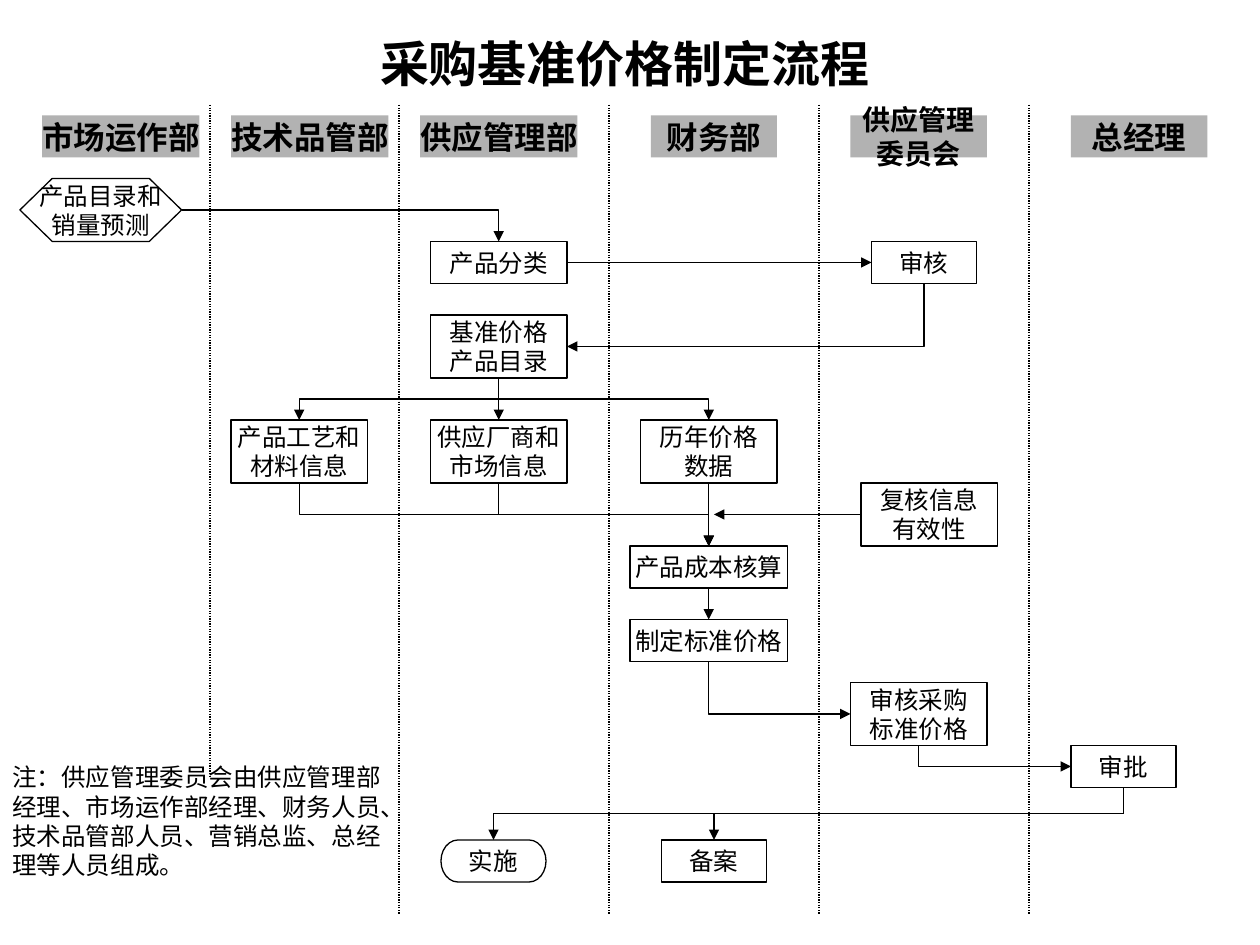
from dataclasses import dataclass
from typing import Optional

from lxml import etree
from pptx import Presentation
from pptx import util as u
from pptx.dml.color import RGBColor
from pptx.enum import dml, shapes, text
from pptx.oxml.ns import qn

SCALE = 7620
KIND = shapes.MSO_SHAPE
LINK = shapes.MSO_CONNECTOR


@dataclass(frozen=True)
class Theme:
    ink: RGBColor = RGBColor(0, 0, 0)
    paper: RGBColor = RGBColor(255, 255, 255)
    band: RGBColor = RGBColor(0xB2, 0xB2, 0xB2)
    font: str = "Times New Roman"
    title: int = 28
    head: int = 18
    small: int = 16
    body: int = 14
    rule: float = 0.75


@dataclass(frozen=True)
class Head:
    words: str
    left: int
    width: int
    size: int


@dataclass(frozen=True)
class Step:
    words: str
    left: int
    top: int
    width: int = 130
    high: int = 40
    kind: KIND = KIND.RECTANGLE


@dataclass(frozen=True)
class Flow:
    x: int
    y: int
    to_x: int
    to_y: int
    bend: str = ""


THEME = Theme()

HEADS = [
    Head("市场运作部", 40, 150, THEME.head),
    Head("技术品管部", 220, 150, THEME.head),
    Head("供应管理部", 400, 150, THEME.head),
    Head("财务部", 620, 120, THEME.head),
    Head("供应管理\n委员会", 810, 130, THEME.small),
    Head("总经理", 1020, 130, THEME.head),
]

LANES = [(200, 740), (380, 870), (580, 870), (780, 870), (980, 870)]

STEPS = [
    Step("产品目录和\n销量预测", 19, 170, 154, 60, KIND.FLOWCHART_PREPARATION),
    Step("产品分类", 410, 230),
    Step("审核", 830, 230, 100),
    Step("基准价格\n产品目录", 410, 300, high=60),
    Step("产品工艺和\n材料信息", 220, 400, high=60),
    Step("供应厂商和\n市场信息", 410, 400, high=60),
    Step("历年价格\n数据", 610, 400, high=60),
    Step("复核信息\n有效性", 820, 460, high=60),
    Step("产品成本核算", 600, 520, 150),
    Step("制定标准价格", 600, 590, 150),
    Step("审核采购\n标准价格", 810, 650, high=60),
    Step("审批", 1020, 710, 100),
    Step("实施", 420, 800, 100, kind=KIND.FLOWCHART_TERMINATOR),
    Step("备案", 630, 800, 100),
]

ONE, TWO = "bentConnector2", "bentConnector3"
FLOWS = [
    Flow(173, 200, 475, 230, "across"),
    Flow(540, 250, 830, 250),
    Flow(880, 270, 540, 330, ONE),
    Flow(475, 360, 475, 400),
    Flow(475, 360, 285, 400, TWO),
    Flow(475, 360, 675, 400, TWO),
    Flow(675, 460, 675, 520),
    Flow(475, 460, 675, 520, TWO),
    Flow(285, 460, 675, 520, TWO),
    Flow(820, 490, 680, 490),
    Flow(675, 560, 675, 590),
    Flow(675, 630, 810, 680, ONE),
    Flow(875, 710, 1020, 730, ONE),
    Flow(1070, 750, 680, 800, TWO),
    Flow(1070, 750, 470, 800, TWO),
]

NOTE = ("注：供应管理委员会由供应管理部经理、市场运作部经理、财务人员、"
        "技术品管部人员、营销总监、总经理等人员组成。")


def px(n: float) -> u.Emu:
    return u.Emu(round(n * SCALE))


def write(frame, words: str, size: int, bold: bool = False,
          align=text.PP_ALIGN.CENTER) -> None:
    frame.text = words
    for para in frame.paragraphs:
        para.alignment = align
        font = para.font
        font.name, font.size, font.bold = THEME.font, u.Pt(size), bold
        font.color.rgb = THEME.ink


def box(slide, step: Step, fill: RGBColor, size: int, head: bool = False) -> None:
    shape = slide.shapes.add_shape(
        step.kind, px(step.left), px(step.top), px(step.width), px(step.high))
    shape.shadow.inherit = False
    shape.fill.solid()
    shape.fill.fore_color.rgb = fill
    if head:
        shape.line.fill.background()
    else:
        shape.line.color.rgb = THEME.ink
        shape.line.width = u.Pt(THEME.rule)
    frame = shape.text_frame
    frame.word_wrap = False
    frame.vertical_anchor = text.MSO_ANCHOR.MIDDLE
    write(frame, step.words, size, head)


def line(slide, kind: LINK, x: float, y: float, to_x: float, to_y: float,
         dash: Optional[dml.MSO_LINE] = None):
    link = slide.shapes.add_connector(kind, px(x), px(y), px(to_x), px(to_y))
    link.line.color.rgb = THEME.ink
    link.line.width = u.Pt(THEME.rule)
    if dash is not None:
        link.line.dash_style = dash
    etree.SubElement(link.element.spPr, qn("a:effectLst"))
    return link


def arrow(slide, flow: Flow) -> None:
    if flow.bend in (ONE, TWO):
        wide, high = abs(flow.to_x - flow.x), flow.to_y - flow.y
        mid_x, mid_y = (flow.x + flow.to_x) / 2, (flow.y + flow.to_y) / 2
        link = line(slide, LINK.ELBOW, mid_x - high / 2, mid_y - wide / 2,
                    mid_x + high / 2, mid_y + wide / 2)
        frame = link.element.spPr.find(qn("a:xfrm"))
        right = flow.to_x > flow.x
        frame.set("rot", str((270 if right else 90) * 60000))
        if right:
            frame.set("flipH", "1")
    else:
        kind = LINK.ELBOW if flow.bend else LINK.STRAIGHT
        link = line(slide, kind, flow.x, flow.y, flow.to_x, flow.to_y)
    if flow.bend:
        shape = link.element.spPr.find(qn("a:prstGeom"))
        shape.set("prst", TWO if flow.bend == TWO else ONE)
    etree.SubElement(link.line._get_or_add_ln(), qn("a:tailEnd"), type="triangle")


def main() -> None:
    deck = Presentation()
    deck.slide_width, deck.slide_height = px(1200), px(900)
    slide = deck.slides.add_slide(deck.slide_layouts[5])

    title = slide.shapes.title
    title.left, title.top, title.width, title.height = px(240), px(20), px(710), px(80)
    title.text_frame.auto_size = text.MSO_AUTO_SIZE.NONE
    title.text_frame.vertical_anchor = text.MSO_ANCHOR.MIDDLE
    write(title.text_frame, "采购基准价格制定流程", THEME.title, True)

    for x, end in LANES:
        line(slide, LINK.STRAIGHT, x, 100, x, end, dml.MSO_LINE.ROUND_DOT)
    for head in HEADS:
        box(slide, Step(head.words, head.left, 110, head.width),
            THEME.band, head.size, True)
    for step in STEPS:
        box(slide, step, THEME.paper, THEME.body)
    for flow in FLOWS:
        arrow(slide, flow)

    note = slide.shapes.add_textbox(px(0), px(720), px(380), px(125)).text_frame
    note.word_wrap = True
    write(note, NOTE, THEME.body, align=text.PP_ALIGN.LEFT)
    deck.save("out.pptx")


if __name__ == "__main__":
    main()
